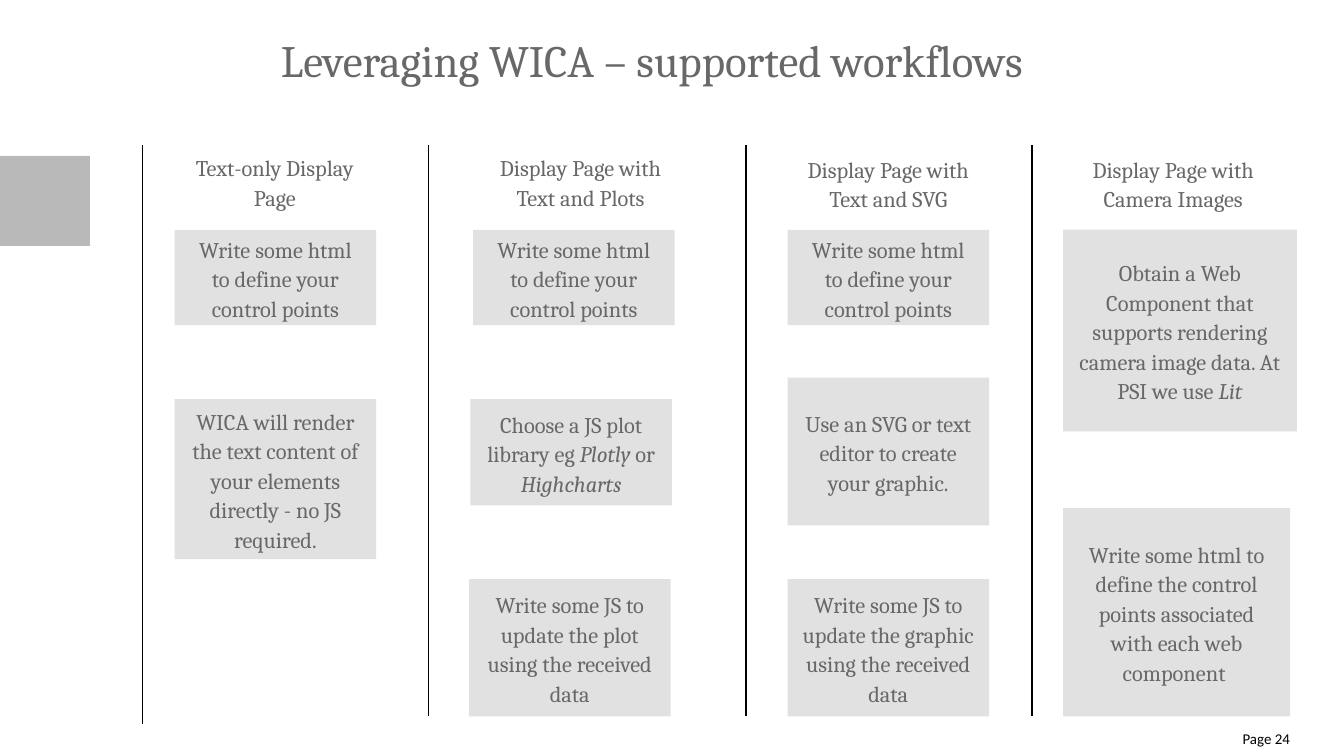
import pptx
import pptx.dml.color
import pptx.enum.shapes
import pptx.enum.text
import pptx.util
import lxml.etree
from pptx.util import Inches

ALIGN = pptx.enum.text.PP_ALIGN
ANCHOR = pptx.enum.text.MSO_ANCHOR
RECTANGLE = pptx.enum.shapes.MSO_SHAPE.RECTANGLE
STRAIGHT = pptx.enum.shapes.MSO_CONNECTOR.STRAIGHT
DRAWING = "http://schemas.openxmlformats.org/drawingml/2006/main"


def color(hex_string):
    return pptx.dml.color.RGBColor.from_string(hex_string)


def write_text(shape, text, size=12, font="Cambria", fill="686868", align=ALIGN.CENTER,
               anchor=ANCHOR.TOP, spacing=1.1, margins=(0.1, 0.05)):
    frame = shape.text_frame
    frame.word_wrap = True
    frame.auto_size = pptx.enum.text.MSO_AUTO_SIZE.NONE
    frame.vertical_anchor = anchor
    frame.margin_left = frame.margin_right = Inches(margins[0])
    frame.margin_top = frame.margin_bottom = Inches(margins[1])
    paragraph = frame.paragraphs[0]
    paragraph.alignment = align
    paragraph.line_spacing = spacing
    for index, part in enumerate(text.split("*")):
        if part:
            run = paragraph.add_run()
            run.text = part
            run.font.name = font
            run.font.size = pptx.util.Pt(size)
            run.font.color.rgb = color(fill)
            run.font.italic = index % 2 == 1


presentation = pptx.Presentation()
presentation.slide_width = Inches(10)
presentation.slide_height = Inches(10) * 9 // 16
slide = presentation.slides.add_slide(presentation.slide_layouts[5])
shapes = slide.shapes

title = shapes.title
title.left, title.top = Inches(2.09), Inches(0.24)
title.width, title.height = Inches(7.73), Inches(0.42)
write_text(title, "Leveraging WICA – supported workflows", size=24,
           align=ALIGN.LEFT, spacing=1.0, margins=(0, 0))

side_block = shapes.add_shape(RECTANGLE, 0, Inches(1.16), Inches(0.67), Inches(0.67))
side_block.shadow.inherit = False
side_block.fill.solid()
side_block.fill.fore_color.rgb = color("B9B9B9")
side_block.line.fill.background()

for x, bottom in [(1.06, 5.39), (3.19, 5.33), (5.55, 5.33), (7.68, 5.33)]:
    divider = shapes.add_connector(STRAIGHT, Inches(x), Inches(1.08), Inches(x), Inches(bottom))
    divider.line.color.rgb = color("000000")
    divider.line.width = pptx.util.Pt(0.75)
    lxml.etree.SubElement(divider._element.spPr, f"{{{DRAWING}}}effectLst")

define_points = "Write some html to define your control points"
workflows = [
    ("Text-only Display Page", 1.22, 1.08, 1.65, [
        (1.3, 1.71, 1.5, 0.71, define_points),
        (1.3, 2.97, 1.5, 1.19,
         "WICA will render the text content of your elements directly - no JS required."),
    ]),
    ("Display Page with Text and Plots", 3.5, 1.08, 1.64, [
        (3.52, 1.71, 1.5, 0.71, define_points),
        (3.5, 2.97, 1.5, 0.79, "Choose a JS plot library eg *Plotly* or *Highcharts*"),
        (3.49, 4.31, 1.5, 1.02, "Write some JS to update the plot using the received data"),
    ]),
    ("Display Page with Text and SVG", 5.79, 1.09, 1.64, [
        (5.86, 1.71, 1.5, 0.71, define_points),
        (5.86, 2.81, 1.5, 1.1, "Use an SVG or text editor to create your graphic."),
        (5.86, 4.31, 1.5, 1.02, "Write some JS to update the graphic using the received data"),
    ]),
    ("Display Page with Camera Images", 7.91, 1.09, 1.64, [
        (7.91, 1.71, 1.74, 1.5,
         "Obtain a Web Component that supports rendering camera image data. At PSI we use *Lit*"),
        (7.91, 3.78, 1.69, 1.55,
         "Write some html to define the control points associated with each web component "),
    ]),
]

for heading, heading_left, heading_top, heading_width, steps in workflows:
    heading_box = shapes.add_textbox(Inches(heading_left), Inches(heading_top),
                                     Inches(heading_width), Inches(0.55))
    write_text(heading_box, heading)
    for left, top, width, height, text in steps:
        step = shapes.add_shape(RECTANGLE, Inches(left), Inches(top),
                                Inches(width), Inches(height))
        step.shadow.inherit = False
        step.fill.solid()
        step.fill.fore_color.rgb = color("E1E1E1")
        step.line.fill.background()
        write_text(step, text, anchor=ANCHOR.MIDDLE)

page_number = shapes.add_textbox(Inches(8.97), Inches(5.43), Inches(0.63), Inches(0.16))
write_text(page_number, "Page 24", size=8, font="Calibri", fill="000000",
           align=ALIGN.RIGHT, spacing=1.0, margins=(0, 0))

presentation.save("out.pptx")
